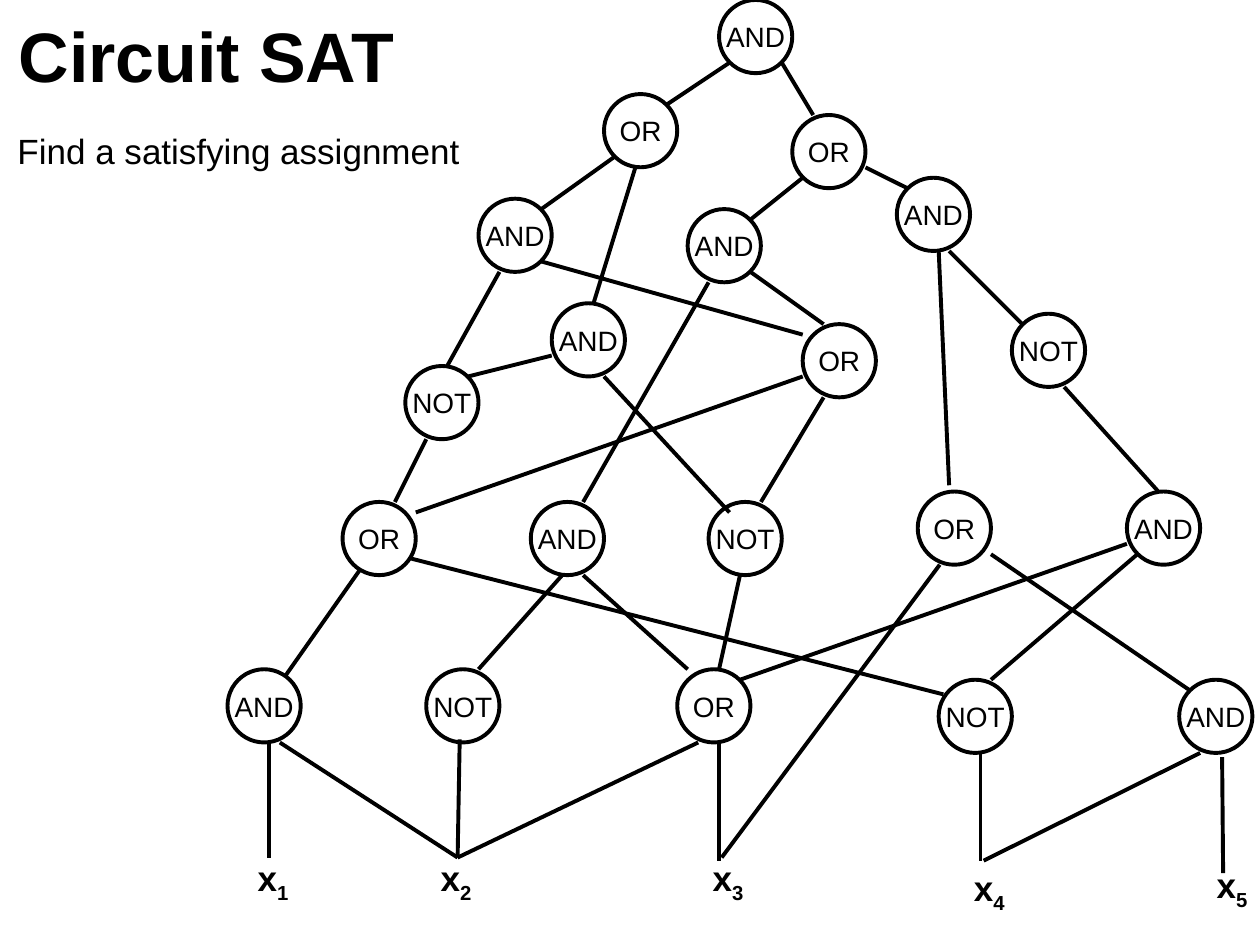
from dataclasses import dataclass
from typing import NamedTuple

from lxml import etree
from pptx import Presentation
from pptx import util as u
from pptx.dml.color import RGBColor
from pptx.enum import shapes, text
from pptx.oxml.ns import qn


@dataclass(frozen=True)
class Theme:
    font: str = "Arial"
    ink: RGBColor = RGBColor(0, 0, 0)
    title: int = 40
    body: int = 20
    gate: int = 16
    wire: float = 2.25


class Gate(NamedTuple):
    kind: str
    col: float
    row: float


class Wire(NamedTuple):
    col1: float
    row1: float
    col2: float
    row2: float


class Input(NamedTuple):
    index: str
    col: float
    row: float


THEME = Theme()
CELL = 0.083  # inches per grid cell
GRID_LEFT = -0.02
GATE_CELLS = 7
INPUT_CELLS = (8.5, 5.3)

GATES = [
    Gate("AND", 69, 0),
    Gate("OR", 58, 9), Gate("OR", 76, 11),
    Gate("AND", 46, 19), Gate("AND", 66, 20), Gate("AND", 86, 17),
    Gate("AND", 53, 29), Gate("OR", 77, 31), Gate("NOT", 97, 30),
    Gate("NOT", 39, 35),
    Gate("OR", 33, 48), Gate("AND", 51, 48), Gate("NOT", 68, 48),
    Gate("OR", 88, 47), Gate("AND", 108, 47),
    Gate("AND", 22, 64), Gate("NOT", 41, 64), Gate("OR", 65, 64),
    Gate("NOT", 90, 65), Gate("AND", 113, 65),
]

INPUTS = [
    Input("1", 22.1, 81.3), Input("2", 39.6, 81.3), Input("3", 65.6, 81.3),
    Input("4", 90.6, 82.3), Input("5", 113.8, 82),
]

WIRES = [
    # Top gate down to the third level
    Wire(64, 10, 70, 6), Wire(78, 11, 75, 6),
    Wire(52, 20, 59, 15), Wire(57, 29, 61, 16),
    Wire(72, 21, 77, 17), Wire(83, 16, 87, 18),
    # Third level down to the middle row
    Wire(43, 35, 48, 26), Wire(52, 25, 77, 32),
    Wire(79, 31, 72, 26), Wire(68, 27, 56, 48),
    Wire(90, 24, 91, 46.4), Wire(91, 24, 98, 31),
    Wire(45, 36, 53, 34), Wire(70, 49, 58, 36),
    Wire(40, 49, 77, 36), Wire(73, 48, 79, 38),
    Wire(38, 48, 41, 42), Wire(102, 37, 111, 47),
    # Middle row down to the bottom row
    Wire(27.55, 64.6, 34.65, 54.5), Wire(39.5, 53.4, 90.45, 66.4),
    Wire(46, 64, 54, 55), Wire(66, 64, 56, 55), Wire(69, 64, 71, 55),
    Wire(95, 53, 114, 66), Wire(71, 65, 108, 52), Wire(95, 65, 109, 53),
    # Gates down to the inputs
    Wire(26, 82, 26, 71), Wire(44, 82, 27, 71),
    Wire(44, 82, 44.2, 70.7), Wire(44, 82, 67, 71),
    Wire(69, 82.3, 69, 71), Wire(69.25, 82, 90.1, 54),
    Wire(94, 82.3, 94, 72), Wire(94.3, 82.3, 115, 72),
    Wire(117.2, 83.5, 117.1, 72.4),
]


def grid_x(col: float) -> int:
    return u.Inches(GRID_LEFT + col * CELL)


def grid_y(row: float) -> int:
    return u.Inches(row * CELL)


def span(cells: float) -> int:
    return u.Inches(cells * CELL)


def add_run(paragraph, words: str, size: int, bold: bool = False):
    run = paragraph.add_run()
    run.text = words
    run.font.name = THEME.font
    run.font.size = u.Pt(size)
    run.font.bold = bold
    run.font.color.rgb = THEME.ink
    return run


def add_text_box(slide, left: int, top: int, width: int, height: int):
    frame = slide.shapes.add_textbox(left, top, width, height).text_frame
    frame.word_wrap = True
    return frame


def draw_gate(slide, gate: Gate) -> None:
    circle = slide.shapes.add_shape(
        shapes.MSO_SHAPE.OVAL, grid_x(gate.col), grid_y(gate.row),
        span(GATE_CELLS), span(GATE_CELLS))
    circle.shadow.inherit = False
    circle.fill.background()
    circle.line.color.rgb = THEME.ink
    circle.line.width = u.Pt(THEME.wire)
    frame = circle.text_frame
    frame.word_wrap = False
    frame.vertical_anchor = text.MSO_ANCHOR.MIDDLE
    label = frame.paragraphs[0]
    label.alignment = text.PP_ALIGN.CENTER
    add_run(label, gate.kind, THEME.gate)


def draw_wire(slide, wire: Wire) -> None:
    line = slide.shapes.add_connector(
        shapes.MSO_CONNECTOR.STRAIGHT, grid_x(wire.col1), grid_y(wire.row1),
        grid_x(wire.col2), grid_y(wire.row2))
    line.line.color.rgb = THEME.ink
    line.line.width = u.Pt(THEME.wire)
    etree.SubElement(line._element.spPr, qn("a:effectLst"))


def draw_input(slide, variable: Input) -> None:
    width, height = map(span, INPUT_CELLS)
    frame = add_text_box(slide, grid_x(variable.col), grid_y(variable.row),
                         width, height)
    label = frame.paragraphs[0]
    label.alignment = text.PP_ALIGN.CENTER
    add_run(label, "x", THEME.body, bold=True)
    subscript = add_run(label, variable.index, THEME.body, bold=True)
    subscript._r.get_or_add_rPr().set("baseline", "-25000")


def main() -> None:
    deck = Presentation()
    deck.slide_width, deck.slide_height = u.Inches(10), u.Inches(7.5)
    slide = deck.slides.add_slide(deck.slide_layouts[6])

    heading = add_text_box(slide, u.Inches(0.05), u.Inches(0.12),
                           u.Inches(3.6), u.Inches(0.63))
    heading.vertical_anchor = text.MSO_ANCHOR.MIDDLE
    add_run(heading.paragraphs[0], "Circuit SAT", THEME.title, bold=True)

    task = add_text_box(slide, u.Inches(0.04), u.Inches(0.98),
                        u.Inches(4.11), u.Inches(0.44))
    add_run(task.paragraphs[0], "Find a satisfying assignment", THEME.body)

    for gate in GATES:
        draw_gate(slide, gate)
    for variable in INPUTS:
        draw_input(slide, variable)
    for wire in WIRES:
        draw_wire(slide, wire)

    deck.save("out.pptx")


if __name__ == "__main__":
    main()
